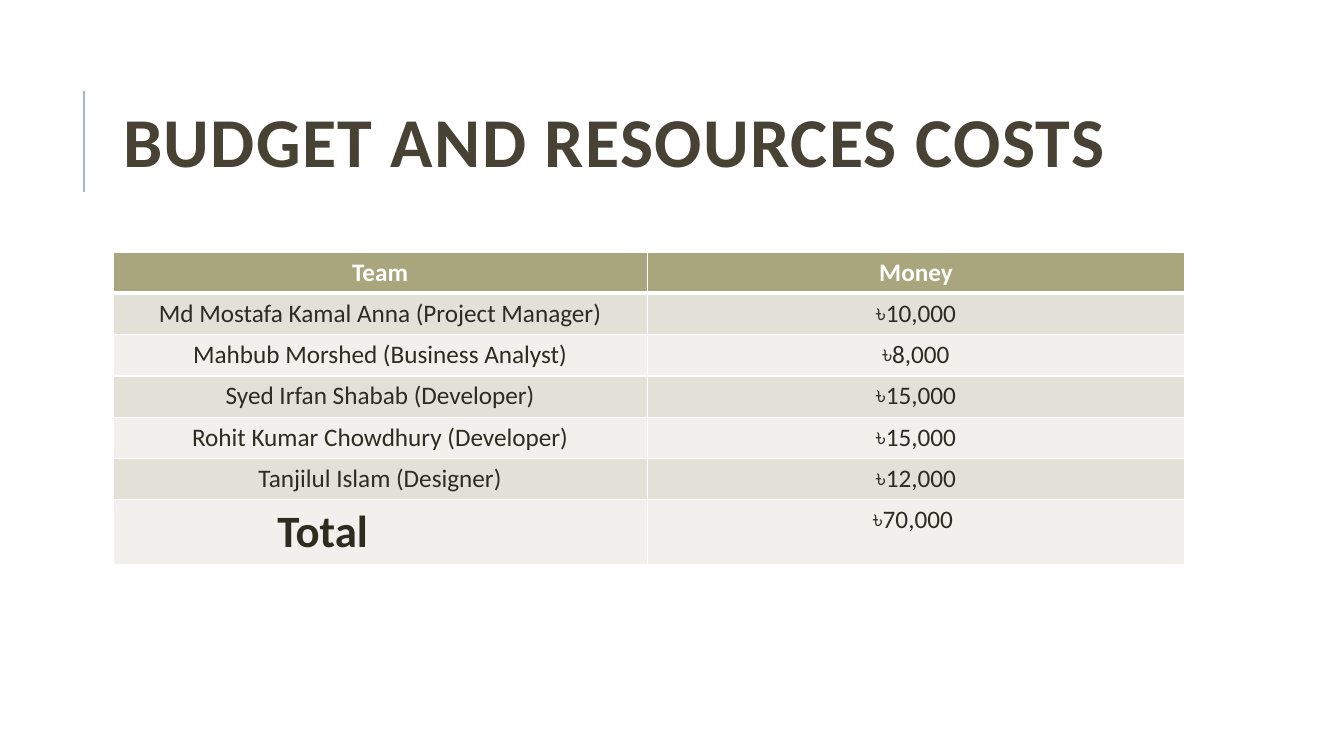
from dataclasses import dataclass

from lxml import etree
from pptx import Presentation
from pptx.dml.color import RGBColor
from pptx.enum.shapes import MSO_CONNECTOR
from pptx.enum.text import MSO_ANCHOR, MSO_AUTO_SIZE, PP_ALIGN
from pptx.oxml.ns import qn
from pptx.util import Inches, Pt

STRAIGHT = MSO_CONNECTOR.STRAIGHT
MIDDLE = MSO_ANCHOR.MIDDLE
NO_AUTOFIT = MSO_AUTO_SIZE.NONE
LEFT, CENTER = PP_ALIGN.LEFT, PP_ALIGN.CENTER

TITLE_ONLY = 5
FONT = "Calibri"
WHITE, INK, TITLE_INK, ACCENT = "FFFFFF", "2E2B21", "474233", "9CBEBD"
HEADER_FILL, BAND_FILLS = "A9A57C", ("E2E1D7", "F1F0EC")
COLUMN_WIDTHS = (5.3, 5.33)
ROW_HEIGHT, TOTAL_HEIGHT = 0.41, 0.64


@dataclass
class CellText:
    text: str
    size: float = 18
    bold: bool = False
    align: PP_ALIGN = CENTER
    margin_left: float = 0.1
    margin_right: float = 0.1


BUDGET = [
    (CellText("Team", bold=True), CellText("Money", bold=True)),
    (CellText("Md Mostafa Kamal Anna (Project Manager)"), CellText("৳10,000")),
    (CellText("Mahbub Morshed (Business Analyst)"), CellText("৳8,000")),
    (CellText("Syed Irfan Shabab (Developer)"), CellText("৳15,000")),
    (CellText("Rohit Kumar Chowdhury (Developer)"), CellText("৳15,000")),
    (CellText("Tanjilul Islam (Designer)"), CellText("৳12,000")),
    (CellText("Total", size=32, bold=True, align=LEFT, margin_left=1.63),
     CellText("৳70,000", margin_right=0.16)),
]


def color(value: str) -> RGBColor:
    return RGBColor.from_string(value)


def write(para, text: str, ink: str, size: float, bold: bool):
    span = para.add_run()
    span.text = text
    for name, value in {"name": FONT, "size": Pt(size), "bold": bold}.items():
        setattr(span.font, name, value)
    span.font.color.rgb = color(ink)
    return span


def add_borders(cell, widths: dict[str, float]) -> None:
    properties = cell._tc.get_or_add_tcPr()
    for side, width in widths.items():
        line = etree.SubElement(properties, qn(f"a:ln{side}"), w=str(Pt(width)))
        fill = etree.SubElement(line, qn("a:solidFill"))
        etree.SubElement(fill, qn("a:srgbClr"), val=WHITE)


def add_accent_line(page) -> None:
    line = page.shapes.add_connector(
        STRAIGHT, Inches(0.83), Inches(1.9), Inches(0.83), Inches(0.9))
    line.line.color.rgb = color(ACCENT)
    line.line.width = Pt(1.5)
    etree.SubElement(line._element.spPr, qn("a:effectLst"))


def format_title(page) -> None:
    title = page.shapes.title
    box = {"left": 1.12, "top": 0.64, "width": 10.63, "height": 1.64}
    for name, value in box.items():
        setattr(title, name, Inches(value))
    frame = title.text_frame
    frame_format = {"vertical_anchor": MIDDLE, "auto_size": NO_AUTOFIT, "word_wrap": True}
    for name, value in frame_format.items():
        setattr(frame, name, value)
    para = frame.paragraphs[0]
    para.alignment = LEFT
    para.line_spacing = 0.8
    span = write(para, "BUDGET AND RESOURCES COSTS", TITLE_INK, 50, True)
    span.font._element.set("spc", "100")


def add_budget_table(page) -> None:
    heights = [ROW_HEIGHT] * (len(BUDGET) - 1) + [TOTAL_HEIGHT]
    table = page.shapes.add_table(
        len(BUDGET), len(COLUMN_WIDTHS), Inches(1.12), Inches(2.5),
        Inches(sum(COLUMN_WIDTHS)), Inches(sum(heights))).table
    for column, width in zip(table.columns, COLUMN_WIDTHS):
        column.width = Inches(width)
    for index, (height, entries) in enumerate(zip(heights, BUDGET)):
        table.rows[index].height = Inches(height)
        is_header = index == 0
        fill = HEADER_FILL if is_header else BAND_FILLS[(index - 1) % 2]
        widths = {"L": 1, "R": 1, "T": 3 if index == 1 else 1, "B": 3 if is_header else 1}
        for cell, entry in zip(table.rows[index].cells, entries):
            add_borders(cell, widths)
            cell.fill.solid()
            cell.fill.fore_color.rgb = color(fill)
            cell.margin_left = Inches(entry.margin_left)
            cell.margin_right = Inches(entry.margin_right)
            para = cell.text_frame.paragraphs[0]
            para.alignment = entry.align
            write(para, entry.text, WHITE if is_header else INK, entry.size, entry.bold)


def main() -> None:
    deck = Presentation()
    deck.slide_width, deck.slide_height = Inches(13.33), Inches(7.5)
    page = deck.slides.add_slide(deck.slide_layouts[TITLE_ONLY])
    add_accent_line(page)
    format_title(page)
    add_budget_table(page)
    deck.save("out.pptx")


if __name__ == "__main__":
    main()
